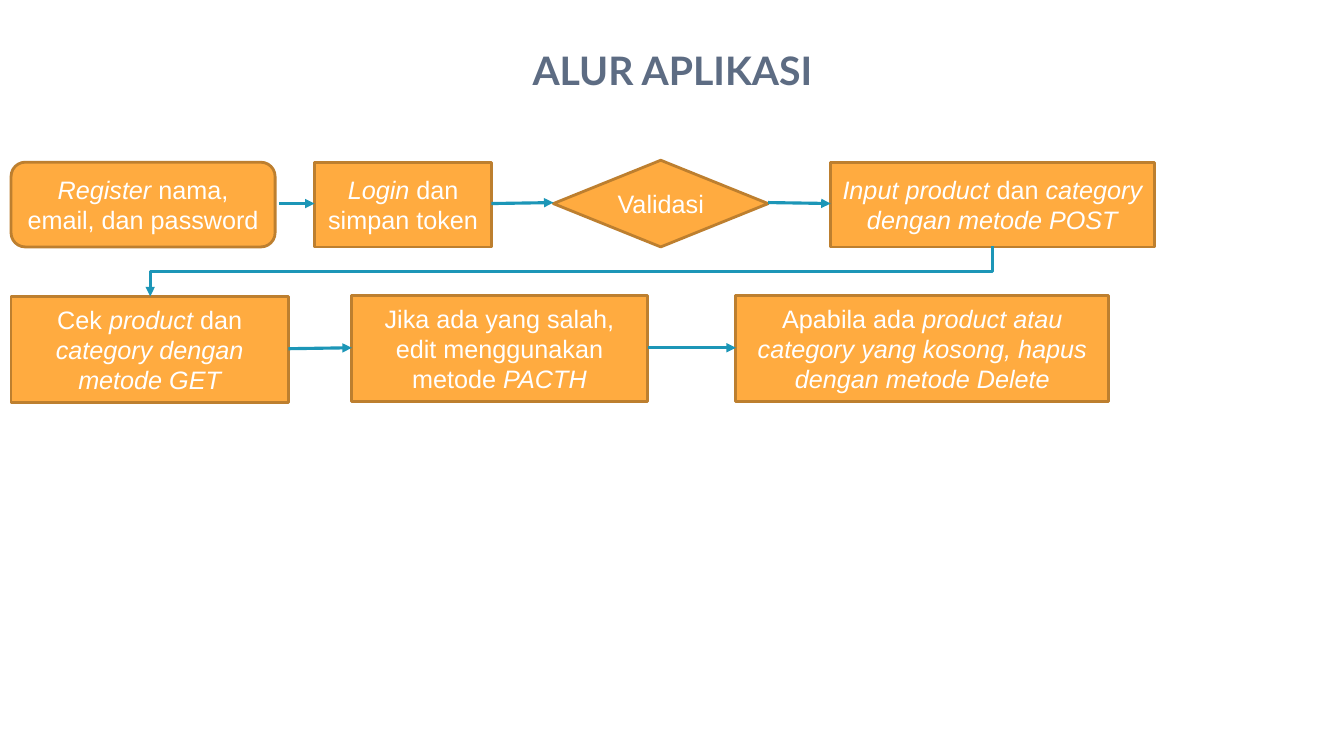
import pptx
import pptx.dml.color
import pptx.enum.shapes
import pptx.enum.text
import pptx.oxml
import pptx.oxml.ns
import pptx.util
from dataclasses import dataclass

Pt = pptx.util.Pt
Form = pptx.enum.shapes.MSO_SHAPE
Link = pptx.enum.shapes.MSO_CONNECTOR
Align = pptx.enum.text.PP_ALIGN
Anchor = pptx.enum.text.MSO_ANCHOR

HUES = {"title": "5D6C83", "fill": "FFAB40", "edge": "BD7F2F",
        "text": "FFFFFF", "arrow": "1C96B7"}
DRAW_NS = pptx.oxml.ns.nsdecls("a")


@dataclass
class Step:
    """One box of the flow; text between asterisks is italic."""
    text: str
    left: float
    top: float
    width: float
    height: float
    form: Form = Form.FLOWCHART_PROCESS


@dataclass
class Arrow:
    x1: float
    y1: float
    x2: float
    y2: float


ROW1, HIGH1 = 115.9, 60.5
ROW2, HIGH2 = 211, 75.6

STEPS = [
    Step("*Register* nama, email, dan password", 7.9, ROW1, 188.6, HIGH1,
         Form.FLOWCHART_ALTERNATE_PROCESS),
    Step("*Login* dan simpan token", 224.6, ROW1, 126.7, HIGH1),
    Step("Validasi", 395.3, 114.5, 153.4, 61.9, Form.FLOWCHART_DECISION),
    Step("*Input product *dan* category dengan metode POST*",
         593.3, ROW1, 231.1, HIGH1),
    Step("Cek* product *dan* category dengan metode GET*",
         7.9, ROW2 + 0.7, 198, HIGH2),
    Step("Jika ada yang salah, edit menggunakan metode *PACTH*",
         251.3, ROW2, 211, HIGH2),
    Step("Apabila ada* product atau category yang kosong, "
         "hapus dengan metode Delete*", 525.6, ROW2, 266.4, HIGH2),
]

ARROWS = [
    Arrow(199.4, 145.4, 224.6, 145.4),
    Arrow(351, 145.4, 395.3, 144.7),
    Arrow(548.6, 144.7, 593.3, 145.4),
    Arrow(206, 249.1, 251.3, 248.4),
    Arrow(462.6, 248.4, 525.6, 248.4),
]
TURN = Arrow(709.2, 176, 107.3, 211.7)


def hue(name: str) -> pptx.dml.color.RGBColor:
    return pptx.dml.color.RGBColor.from_string(HUES[name])


def style(para, face: str, size: float, name: str) -> None:
    para.alignment = Align.CENTER
    para.font.name = face
    para.font.size = Pt(size)
    para.font.color.rgb = hue(name)


def add_step(slide, step: Step) -> None:
    box = slide.shapes.add_shape(step.form, Pt(step.left), Pt(step.top),
                                 Pt(step.width), Pt(step.height))
    box.shadow.inherit = False
    box.fill.solid()
    box.fill.fore_color.rgb = hue("fill")
    box.line.color.rgb = hue("edge")
    box.line.width = Pt(2)
    frame = box.text_frame
    frame.word_wrap = True
    frame.vertical_anchor = Anchor.MIDDLE
    para = frame.paragraphs[0]
    style(para, "Arial", 18, "text")
    for i, part in enumerate(step.text.split("*")):
        if part:
            run = para.add_run()
            run.text = part
            run.font.italic = i % 2 == 1


def add_arrow(slide, arrow: Arrow, kind: Link = Link.STRAIGHT):
    link = slide.shapes.add_connector(kind, Pt(arrow.x1), Pt(arrow.y1),
                                      Pt(arrow.x2), Pt(arrow.y2))
    link.line.color.rgb = hue("arrow")
    link.line.width = Pt(2.25)
    link.line._get_or_add_ln().append(
        pptx.oxml.parse_xml(f'<a:tailEnd {DRAW_NS} type="triangle"/>'))
    link._element.spPr.append(
        pptx.oxml.parse_xml(f"<a:effectLst {DRAW_NS}/>"))
    return link


def add_turn(slide, arrow: Arrow) -> None:
    """Elbow that leaves downwards: a quarter turn about its centre."""
    mid_x, mid_y = (arrow.x1 + arrow.x2) / 2, (arrow.y1 + arrow.y2) / 2
    half_w = (arrow.y2 - arrow.y1) / 2
    half_h = (arrow.x1 - arrow.x2) / 2
    flat = Arrow(mid_x - half_w, mid_y - half_h,
                 mid_x + half_w, mid_y + half_h)
    link = add_arrow(slide, flat, Link.ELBOW)
    link._element.spPr.xfrm.set("rot", str(90 * 60000))


def add_title(slide, text: str) -> None:
    title = slide.shapes.title
    title.left, title.top = Pt(111.6), Pt(23.8)
    title.width, title.height = Pt(737.3), Pt(60.5)
    frame = title.text_frame
    frame.text = text
    frame.word_wrap = True
    frame.auto_size = pptx.enum.text.MSO_AUTO_SIZE.NONE
    frame.vertical_anchor = Anchor.TOP
    frame.margin_left = frame.margin_right = Pt(9.4)
    frame.margin_top = frame.margin_bottom = Pt(9.4)
    para = frame.paragraphs[0]
    style(para, "Lato", 28, "title")
    para.font.bold = True


def main() -> None:
    deck = pptx.Presentation()
    deck.slide_width, deck.slide_height = Pt(960), Pt(540)
    slide = deck.slides.add_slide(deck.slide_layouts[5])

    # Heading
    add_title(slide, "ALUR APLIKASI")

    # Boxes of the flow
    for step in STEPS:
        add_step(slide, step)

    # Arrows within the rows, then the turn to the second row
    for arrow in ARROWS:
        add_arrow(slide, arrow)
    add_turn(slide, TURN)

    deck.save("out.pptx")


if __name__ == "__main__":
    main()
